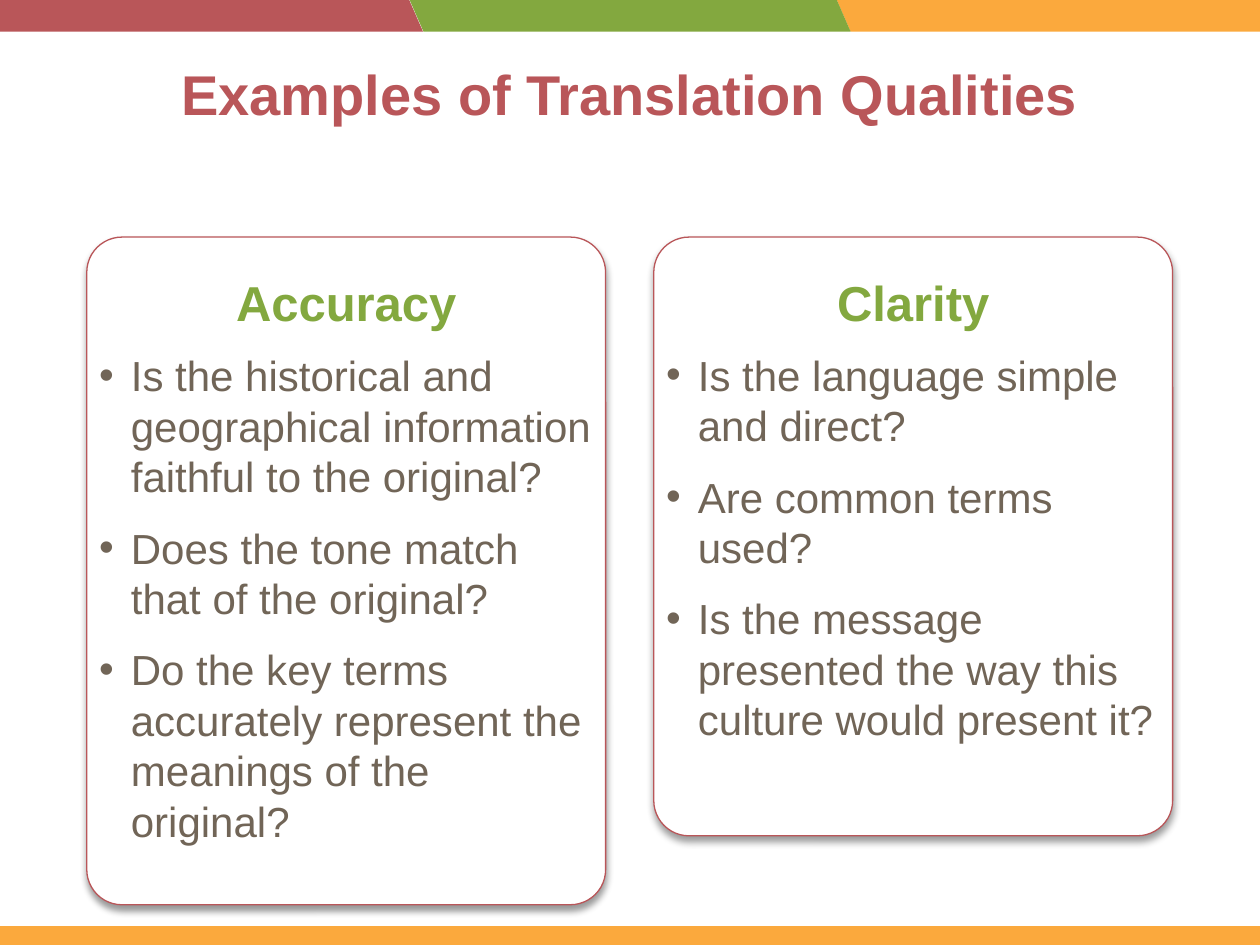
from lxml import etree
from pptx import Presentation
from pptx.dml.color import RGBColor
from pptx.enum.shapes import MSO_SHAPE
from pptx.enum.text import MSO_ANCHOR, MSO_AUTO_SIZE, PP_ALIGN
from pptx.oxml.ns import qn
from pptx.util import Cm, Pt

CENTER = PP_ALIGN.CENTER
TOP, MIDDLE = MSO_ANCHOR.TOP, MSO_ANCHOR.MIDDLE
RECTANGLE = MSO_SHAPE.RECTANGLE
ROUNDED = MSO_SHAPE.ROUNDED_RECTANGLE
PARALLELOGRAM = MSO_SHAPE.PARALLELOGRAM
FIT_SHAPE = MSO_AUTO_SIZE.SHAPE_TO_FIT_TEXT

RED, GREEN, ORANGE = "B95659", "83A83F", "FBA93D"
BROWN, WHITE, BLACK = "716557", "FFFFFF", "000000"
SLIDE_WIDTH, SLIDE_HEIGHT = 25.4, 19.05
CARD_TOP, CARD_WIDTH = 4.78, 10.46
BULLETS_TOP = 6.88
INDENT = 0.64

# heading, left, card height, bullet box height, questions
CARDS = [
    ("Clarity", 13.18, 12.07, 8.28, [
        "Is the language simple and direct?",
        "Are common terms used?",
        "Is the message presented the way this culture would present it?",
    ]),
    ("Accuracy", 1.75, 13.46, 10.34, [
        "Is the historical and geographical information faithful to the original?",
        "Does the tone match that of the original?",
        "Do the key terms accurately represent the meanings of the original?",
    ]),
]


def color(hex_string):
    return RGBColor.from_string(hex_string)


def format_runs(paragraph, size, hex_string, bold=False):
    for run in paragraph.runs:
        run.font.name = "Arial"
        run.font.size = Pt(size)
        run.font.bold = bold
        run.font.color.rgb = color(hex_string)


def add_filled_shape(slide, kind, left, top, width, height, fill):
    shape = slide.shapes.add_shape(kind, Cm(left), Cm(top), Cm(width), Cm(height))
    shape.shadow.inherit = False
    shape.fill.solid()
    shape.fill.fore_color.rgb = color(fill)
    shape.line.fill.background()
    return shape


def add_bands(slide):
    for left, fill in ((16.87, ORANGE), (-0.36, RED), (8.26, GREEN)):
        band = add_filled_shape(slide, PARALLELOGRAM, left, 0, 8.89, 0.64, fill)
        band.adjustments[0] = 0.436
        band._element.spPr.find(qn("a:xfrm")).set("flipH", "1")
    add_filled_shape(slide, RECTANGLE, 0, 18.67, SLIDE_WIDTH, 0.38, ORANGE)


def add_title(slide, text):
    title = slide.shapes.title
    title.left, title.top, title.width, title.height = Cm(1.75), Cm(1.07), Cm(21.9), Cm(3.68)
    frame = title.text_frame
    frame.text = text
    frame.vertical_anchor = TOP
    frame.paragraphs[0].alignment = CENTER
    format_runs(frame.paragraphs[0], 32, RED, bold=True)


def add_soft_shadow(shape):
    effects = shape._element.spPr.find(qn("a:effectLst"))
    shadow = etree.SubElement(
        effects, qn("a:outerShdw"), blurRad=str(Pt(4)), dist=str(Pt(3)),
        dir="5400000", rotWithShape="0")
    shade = etree.SubElement(shadow, qn("a:srgbClr"), val=BLACK)
    etree.SubElement(shade, qn("a:alpha"), val="40000")


def add_card(slide, heading, left, height):
    card = add_filled_shape(slide, ROUNDED, left, CARD_TOP, CARD_WIDTH, height, WHITE)
    card.adjustments[0] = 0.068
    card.line.color.rgb = color(RED)
    card.line.width = Pt(0.75)
    add_soft_shadow(card)
    frame = card.text_frame
    frame.text = heading
    frame.vertical_anchor = TOP
    frame.margin_top = Cm(0.51)
    frame.paragraphs[0].alignment = CENTER
    format_runs(frame.paragraphs[0], 28, GREEN, bold=True)


def add_bullet(paragraph):
    properties = paragraph._p.get_or_add_pPr()
    properties.set("marL", str(Cm(INDENT)))
    properties.set("indent", str(-Cm(INDENT)))
    etree.SubElement(properties, qn("a:buFont"), typeface="Arial")
    etree.SubElement(properties, qn("a:buChar"), char="•")


def add_questions(slide, questions, left, height):
    box = slide.shapes.add_textbox(Cm(left), Cm(BULLETS_TOP), Cm(CARD_WIDTH), Cm(height))
    frame = box.text_frame
    frame.text = "\n".join(questions)
    frame.word_wrap = True
    frame.auto_size = FIT_SHAPE
    frame.vertical_anchor = MIDDLE
    for paragraph in frame.paragraphs:
        paragraph.line_spacing = Pt(28.8)
        paragraph.space_before = paragraph.space_after = Pt(6)
        add_bullet(paragraph)
        format_runs(paragraph, 24, BROWN)


def main():
    presentation = Presentation()
    presentation.slide_width, presentation.slide_height = Cm(SLIDE_WIDTH), Cm(SLIDE_HEIGHT)
    slide = presentation.slides.add_slide(presentation.slide_layouts[5])
    add_bands(slide)
    add_title(slide, "Examples of Translation Qualities")
    for heading, left, card_height, box_height, questions in CARDS:
        add_card(slide, heading, left, card_height)
        add_questions(slide, questions, left, box_height)
    presentation.save("out.pptx")


if __name__ == "__main__":
    main()
